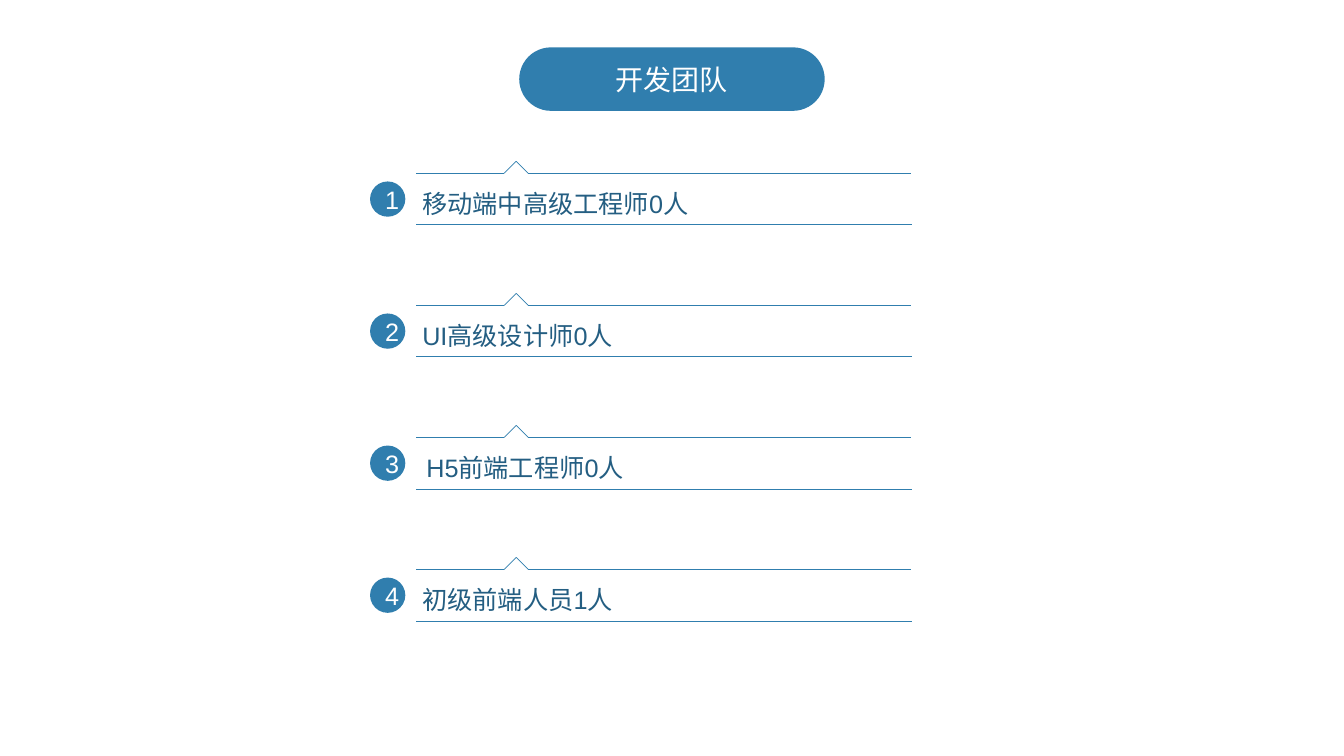
from pptx import Presentation
from pptx.dml.color import RGBColor
from pptx.enum.shapes import MSO_CONNECTOR, MSO_SHAPE
from pptx.enum.text import MSO_ANCHOR, PP_ALIGN
from pptx.oxml.ns import qn
from pptx.util import Inches, Pt
from lxml import etree

LINE = MSO_CONNECTOR.STRAIGHT
PILL, DISC = MSO_SHAPE.ROUNDED_RECTANGLE, MSO_SHAPE.OVAL
LEFT, CENTER = PP_ALIGN.LEFT, PP_ALIGN.CENTER
MIDDLE = MSO_ANCHOR.MIDDLE

COLORS = {"blue": "307EAE", "navy": "245E82", "white": "FFFFFF"}


def add_text(shapes, text, box, kind=None, size=18, color="white",
             align=CENTER, spacing=None):
    """Add text in a blue shape of the given kind, or in a plain text box."""
    area = [Inches(v) for v in box]
    if kind is None:
        shape = shapes.add_textbox(*area)
    else:
        shape = shapes.add_shape(kind, *area)
        shape.shadow.inherit = False
        shape.fill.solid()
        shape.fill.fore_color.rgb = RGBColor.from_string(COLORS["blue"])
        shape.line.fill.background()
    frame = shape.text_frame
    frame.word_wrap = True
    frame.vertical_anchor = MIDDLE
    para = frame.paragraphs[0]
    para.alignment = align
    if spacing:
        para.line_spacing = spacing
    run = para.add_run()
    run.text = text
    run.font.name = "Arial"
    run.font.size = Pt(size)
    run.font.color.rgb = RGBColor.from_string(COLORS[color])
    return shape


def add_line(shapes, start, end):
    line = shapes.add_connector(LINE, *[Inches(v) for v in start + end])
    line.line.color.rgb = RGBColor.from_string(COLORS["blue"])
    line.line.width = Pt(0.5)
    etree.SubElement(line._element.spPr, qn("a:effectLst"))


prs = Presentation()
prs.slide_width, prs.slide_height = Inches(13.33), Inches(7.5)
slide = prs.slides.add_slide(prs.slide_layouts[6])

# Title pill
title = add_text(slide.shapes, "开发团队", (5.15, 0.47, 3.03, 0.63),
                 kind=PILL, size=20)
title.adjustments[0] = 0.5

# Team rows: role and left edge of its text
roles = [
    ("移动端中高级工程师0人", 4.09),
    ("UI高级设计师0人", 4.09),
    ("H5前端工程师0人", 4.13),
    ("初级前端人员1人", 4.09),
]
TOP, STEP = 1.72, 1.31

for i, (role, left) in enumerate(roles):
    y = TOP + i * STEP
    row = slide.shapes.add_group_shape().shapes

    # Upper rule with a notch, then the lower rule
    notch = [(4.13, y), (5, y), (5.12, y - 0.12), (5.24, y), (9.04, y)]
    for start, end in zip(notch, notch[1:]):
        add_line(row, start, end)
    add_line(row, (4.13, y + 0.51), (9.05, y + 0.51))

    # Number and role
    add_text(row, str(i + 1), (3.67, y + 0.08, 0.35, 0.35), kind=DISC)
    add_text(row, role, (left, y + 0.01, 5.58, 0.49), color="navy",
             align=LEFT, spacing=1.3)

prs.save("out.pptx")
